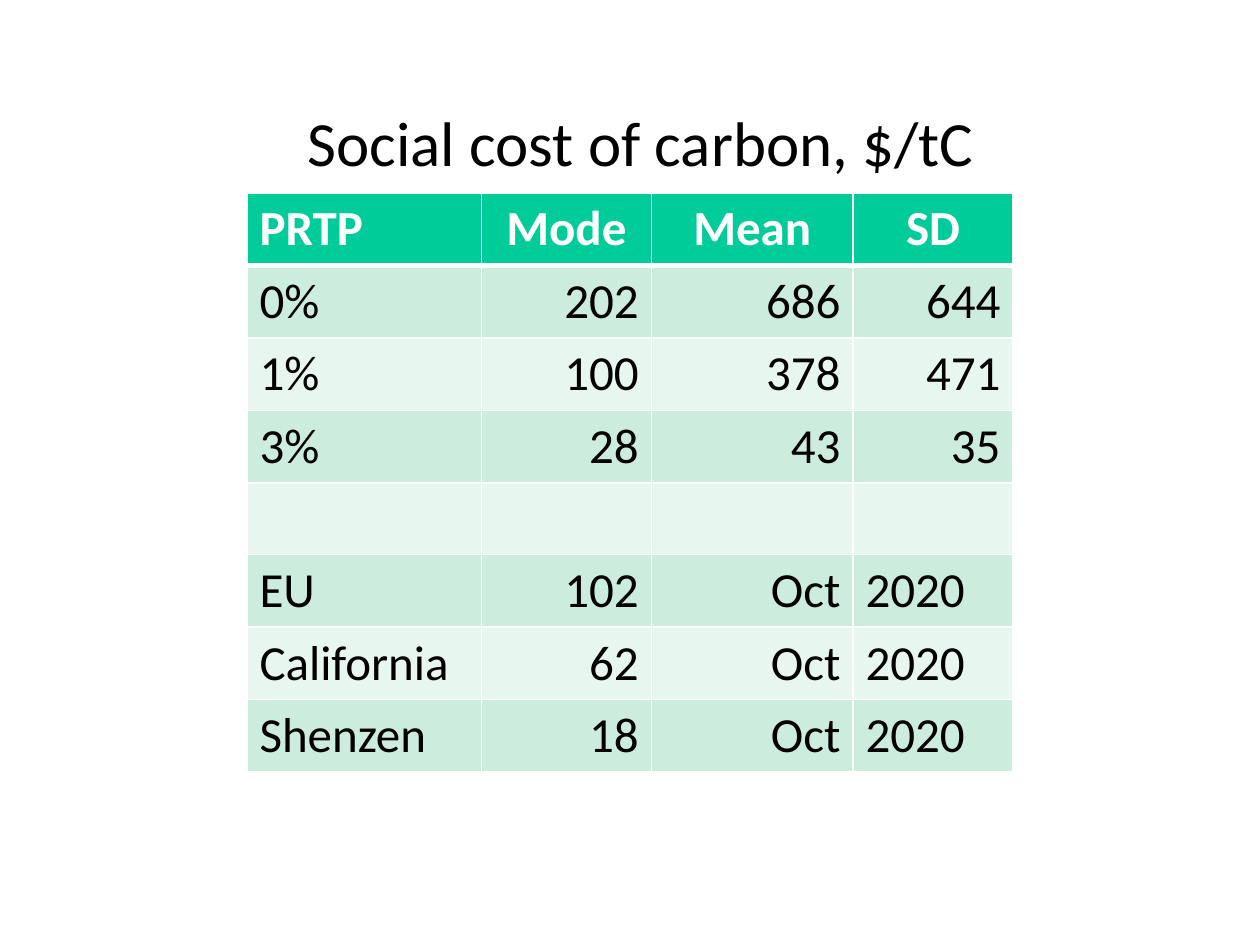
from lxml import etree
from pptx import Presentation, util as u
from pptx.dml.color import RGBColor
from pptx.enum import text
from pptx.oxml.ns import qn

WHITE = RGBColor(0xFF, 0xFF, 0xFF)
BLACK = RGBColor(0, 0, 0)
GREEN = RGBColor(0x00, 0xCC, 0x99)
BANDS = (RGBColor(0xE7, 0xF6, 0xEF), RGBColor(0xCC, 0xEC, 0xDE))
WIDTH, HEIGHT = u.Inches(10), u.Inches(7.5)
LEFT, CENTER, RIGHT = text.PP_ALIGN.LEFT, text.PP_ALIGN.CENTER, text.PP_ALIGN.RIGHT

COLUMN_SHARES = (0.186, 0.135, 0.16, 0.127)
ROW_HEIGHT = u.Inches(0.57)
COSTS = (
    ("PRTP", "Mode", "Mean", "SD"),
    ("0%", "202", "686", "644"),
    ("1%", "100", "378", "471"),
    ("3%", "28", "43", "35"),
    ("", "", "", ""),
    ("EU", "102", "Oct", "2020"),
    ("California", "62", "Oct", "2020"),
    ("Shenzen", "18", "Oct", "2020"),
)


def write(frame, wording, size, color, align, bold=False):
    frame.text = wording
    line = frame.paragraphs[0]
    line.alignment = align
    for run in line.runs:
        run.font.name = "Calibri"
        run.font.size = u.Pt(size)
        run.font.bold = bold
        run.font.color.rgb = color


def add_borders(cell, top, bottom):
    properties = cell._tc.get_or_add_tcPr()
    for side, points in (("L", 1), ("R", 1), ("T", top), ("B", bottom)):
        border = etree.SubElement(properties, qn(f"a:ln{side}"), w=str(u.Pt(points)))
        fill = etree.SubElement(border, qn("a:solidFill"))
        etree.SubElement(fill, qn("a:srgbClr"), val=str(WHITE))


def alignment(row, column, wording):
    if column == 0 or wording == "2020":
        return LEFT
    return CENTER if row == 0 else RIGHT


def add_title(slide):
    title = slide.shapes.add_textbox(
        int(WIDTH * 0.225), int(HEIGHT * 0.103), int(WIDTH * 0.567), int(HEIGHT * 0.095))
    title.text_frame.word_wrap = False
    title.text_frame.auto_size = text.MSO_AUTO_SIZE.SHAPE_TO_FIT_TEXT
    write(title.text_frame, "Social cost of carbon, $/tC", 36, BLACK, CENTER)


def add_cost_table(slide):
    costs = slide.shapes.add_table(
        len(COSTS), len(COLUMN_SHARES), int(WIDTH * 0.196), int(HEIGHT * 0.204),
        int(WIDTH * sum(COLUMN_SHARES)), ROW_HEIGHT * len(COSTS)).table
    for column, share in zip(costs.columns, COLUMN_SHARES):
        column.width = int(WIDTH * share)
    for r, entries in enumerate(COSTS):
        header = r == 0
        for c, wording in enumerate(entries):
            cell = costs.cell(r, c)
            add_borders(cell, top=3 if r == 1 else 1, bottom=3 if header else 1)
            cell.fill.solid()
            cell.fill.fore_color.rgb = GREEN if header else BANDS[r % 2]
            write(cell.text_frame, wording, 28, WHITE if header else BLACK,
                  alignment(r, c, wording), header)


def main():
    deck = Presentation()
    deck.slide_width, deck.slide_height = WIDTH, HEIGHT
    slide = deck.slides.add_slide(deck.slide_layouts[6])
    add_cost_table(slide)
    add_title(slide)
    deck.save("out.pptx")


if __name__ == "__main__":
    main()
